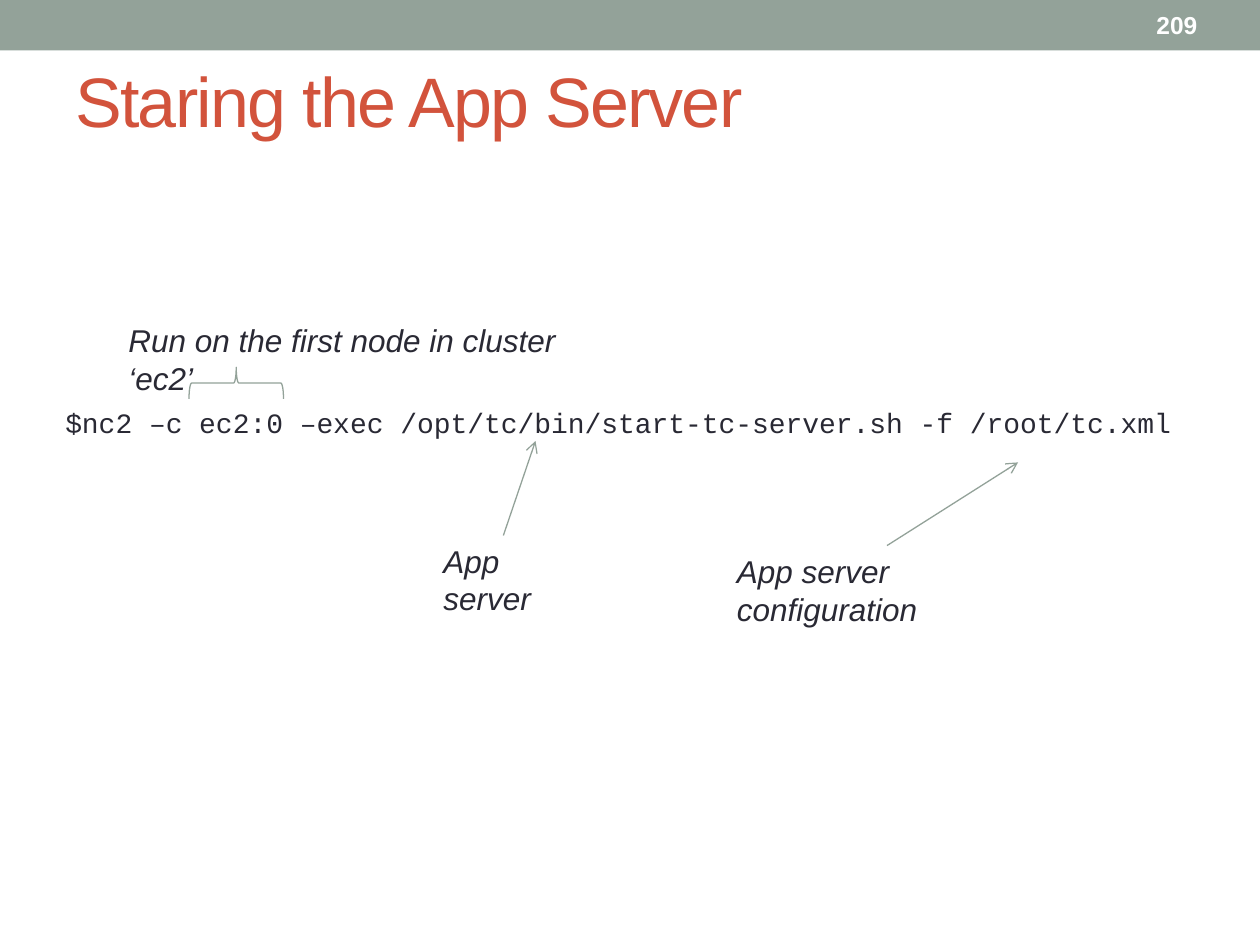
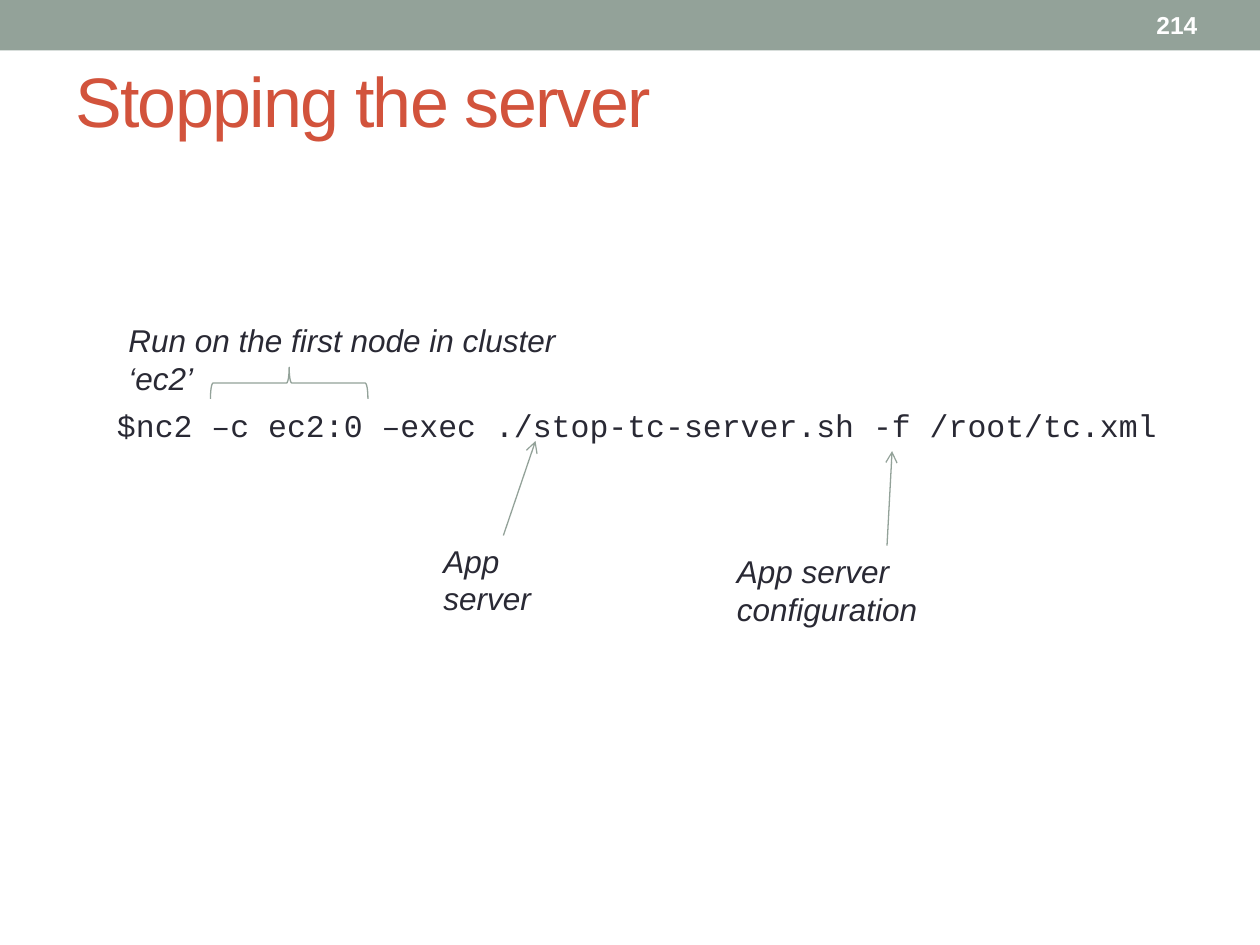
from dataclasses import dataclass

from lxml.etree import SubElement
from pptx import Presentation
from pptx.dml.color import RGBColor
from pptx.enum.shapes import MSO_CONNECTOR, MSO_SHAPE
from pptx.enum.text import MSO_ANCHOR
from pptx.oxml.ns import qn
from pptx.util import Inches, Pt

PAGES = [
    {
        "title": "Staring the App Server",
        "page": "209",
        "code": "$nc2 –c ec2:0 –exec /opt/tc/bin/start-tc-server.sh -f /root/tc.xml",
        "size": 16,
        "box": (0.42, 3.17, 10.33, 0.64),
        "brace": (1.5, 0.75),
        "tips": [(4.25, 3.5), (8.08, 3.67)],
    },
    {
        "title": "Stopping the server",
        "page": "214",
        "code": "$nc2 –c ec2:0 –exec ./stop-tc-server.sh -f /root/tc.xml",
        "size": 18,
        "box": (0.83, 3.17, 9.08, 0.71),
        "brace": (1.67, 1.25),
        "tips": [(4.25, 3.5), (7.08, 3.58)],
    },
]
HINT = ("Run on the first node in cluster ‘ec2’", (0.92, 2.5, 3.89, 0.4))
PARTS = [
    ("App server", (3.42, 4.25, 1.15, 0.4)),
    ("App server configuration", (5.75, 4.33, 2.58, 0.4)),
]
BRACE_MID, BRACE_DEEP = 3.04, 0.25


@dataclass(frozen=True)
class Theme:
    band: RGBColor = RGBColor.from_string("93A299")
    title: RGBColor = RGBColor.from_string("D2533C")
    ink: RGBColor = RGBColor.from_string("292934")
    white: RGBColor = RGBColor.from_string("FFFFFF")
    sans: str = "Arial"
    mono: str = "Courier New"
    head: int = 40
    note: int = 18
    page: int = 14
    line: float = 0.75


LOOK = Theme()


def place(box):
    return [Inches(n) for n in box]


def add_text(slide, text, box, size, color, face=LOOK.sans,
             bold=False, slant=False, mid=False):
    shape = slide.shapes.add_textbox(*place(box))
    frame = shape.text_frame
    frame.word_wrap = True
    frame.vertical_anchor = MSO_ANCHOR.MIDDLE if mid else MSO_ANCHOR.TOP
    run = frame.paragraphs[0].add_run()
    run.text = text
    font = run.font
    font.name, font.size, font.color.rgb = face, Pt(size), color
    font.bold, font.italic = bold, slant
    return shape, run


def add_note(slide, text, box):
    return add_text(slide, text, box, LOOK.note, LOOK.ink, slant=True)[0]


def add_base(slide, title, page):
    band = slide.shapes.add_shape(MSO_SHAPE.RECTANGLE, *place((0, 0, 10, 0.4)))
    band.shadow.inherit = False
    band.fill.solid()
    band.fill.fore_color.rgb = LOOK.band
    band.line.fill.background()
    run = add_text(slide, title, (0.5, 0.33, 9, 0.92), LOOK.head,
                   LOOK.title, mid=True)[1]
    run.font._element.set("spc", "-100")
    add_text(slide, page, (9.08, 0.02, 0.58, 0.36), LOOK.page,
             LOOK.white, bold=True, mid=True)


def add_brace(slide, left, span):
    box = (left + (span - BRACE_DEEP) / 2, BRACE_MID - span / 2,
           BRACE_DEEP, span)
    brace = slide.shapes.add_shape(MSO_SHAPE.RIGHT_BRACE, *place(box))
    brace.rotation = 270
    brace.shadow.inherit = False
    brace.fill.background()
    brace.line.color.rgb = LOOK.band
    brace.line.width = Pt(LOOK.line)


def add_arrow(slide, note, tip):
    end = place(tip)
    arrow = slide.shapes.add_connector(
        MSO_CONNECTOR.STRAIGHT, note.left + note.width // 2, note.top, *end)
    arrow.begin_connect(note, 0)
    arrow.line.color.rgb = LOOK.band
    arrow.line.width = Pt(LOOK.line)
    SubElement(arrow.line._get_or_add_ln(), qn("a:tailEnd"), type="arrow")
    SubElement(arrow._element.spPr, qn("a:effectLst"))


def main():
    deck = Presentation()
    deck.slide_width, deck.slide_height = Inches(10), Inches(7.5)
    for item in PAGES:
        slide = deck.slides.add_slide(deck.slide_layouts[6])
        add_base(slide, item["title"], item["page"])
        add_text(slide, item["code"], item["box"], item["size"],
                 LOOK.ink, LOOK.mono)
        add_note(slide, *HINT)
        add_brace(slide, *item["brace"])
        for (text, box), tip in zip(PARTS, item["tips"]):
            add_arrow(slide, add_note(slide, text, box), tip)
    deck.save("out.pptx")


if __name__ == "__main__":
    main()
